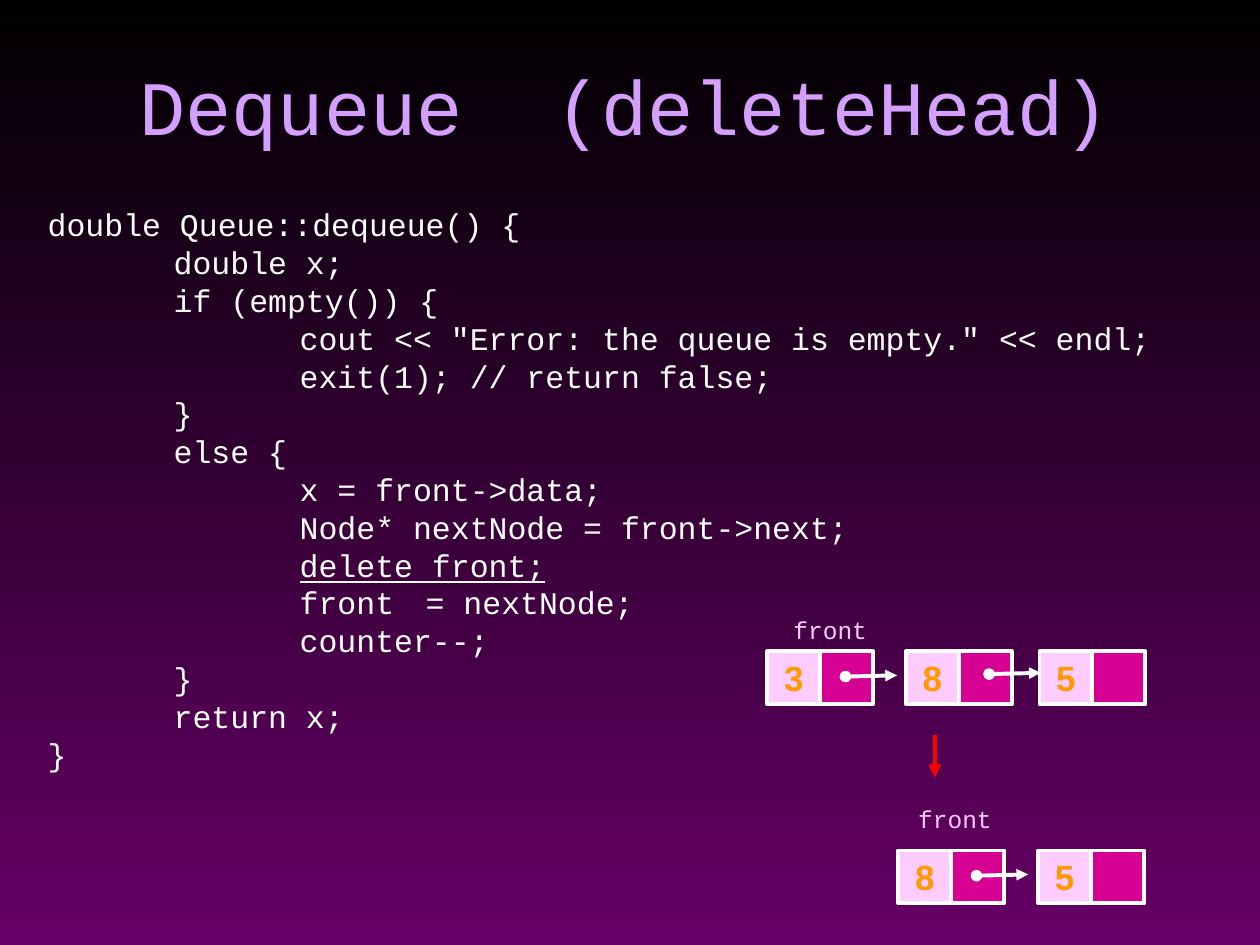
from pptx import Presentation
from pptx.dml.color import RGBColor
from pptx.enum.shapes import MSO_CONNECTOR as Line, MSO_SHAPE as Shape
from pptx.enum.text import MSO_ANCHOR as Anchor, PP_ALIGN as Align
from pptx.oxml.ns import qn
from pptx.util import Inches, Pt
from lxml.etree import SubElement

BLACK = RGBColor(0x00, 0x00, 0x00)
PURPLE = RGBColor(0x66, 0x00, 0x66)
LILAC = RGBColor(0xD4, 0x9F, 0xFF)
WHITE = RGBColor(0xFF, 0xFF, 0xFF)
PINK = RGBColor(0xFF, 0xCC, 0xFF)
MAGENTA = RGBColor(0xD6, 0x00, 0x93)
ORANGE = RGBColor(0xFF, 0x99, 0x00)
RED = RGBColor(0xFF, 0x00, 0x00)

# Content
TITLE = "Dequeue  (deleteHead)"
CODE = [
    "double Queue::dequeue() {",
    "\tdouble x;",
    "\tif (empty()) {",
    '\t\tcout << "Error: the queue is empty." << endl;',
    "\t\texit(1); // return false;",
    "\t}",
    "\telse {",
    "\t\tx = front->data;",
    "\t\tNode* nextNode = front->next;",
    "\t\tdelete front;",
    "\t\tfront\t= nextNode;",
    "\t\tcounter--;",
    "\t}",
    "\treturn x;",
    "}",
]
UNDERLINED = "delete front;"
# Each queue: label place, top of the cells, nodes (value, left),
# and starts of the links between nodes
QUEUES = [
    {"label": (6.01, 4.83), "top": 5.17,
     "nodes": [("3", 6.09), ("8", 7.19), ("5", 8.25)],
     "links": [(6.71, 5.37), (7.85, 5.35)]},
    {"label": (7.0, 6.33), "top": 6.75,
     "nodes": [("8", 7.13), ("5", 8.24)],
     "links": [(7.75, 6.95)]},
]
CELL = 0.42
LINK_WIDTH, LINK_RISE = 0.41, 0.01
TAB_COUNT = 8

# Text formats
TITLE_FONT = {"name": "Courier New", "size": Pt(44), "color": LILAC}
CODE_FONT = {"name": "Courier New", "size": Pt(18), "color": WHITE}
LABEL_FONT = {"name": "Courier New", "size": Pt(14), "color": PINK}
VALUE_FONT = {"name": "Arial", "size": Pt(20), "color": ORANGE, "bold": True}


def set_font(font, style):
    for key, value in style.items():
        if key == "color":
            font.color.rgb = value
        else:
            setattr(font, key, value)


def add_tabs(para):
    tabs = SubElement(para._p.get_or_add_pPr(), qn("a:tabLst"))
    for inch in range(TAB_COUNT):
        SubElement(tabs, qn("a:tab"), pos=str(Inches(inch)), algn="l")


def write(shape, lines, style, align=Align.CENTER, anchor=Anchor.TOP, wrap=True):
    frame = shape.text_frame
    frame.word_wrap, frame.vertical_anchor = wrap, anchor
    for index, line in enumerate(lines):
        para = frame.add_paragraph() if index else frame.paragraphs[0]
        para.alignment = align
        if "\t" in line:
            add_tabs(para)
        before, mark, after = line.partition(UNDERLINED)
        for text in filter(None, (before, mark, after)):
            span = para.add_run()
            span.text = text
            set_font(span.font, style)
            if text == UNDERLINED:
                span.font.underline = True


def add_text(shapes, place, lines, style, **layout):
    box = shapes.add_textbox(*map(Inches, place))
    write(box, lines, style, **layout)


def add_cell(shapes, left, top, color, value=None):
    cell = shapes.add_shape(Shape.RECTANGLE, *map(Inches, (left, top, CELL, CELL)))
    cell.shadow.inherit = False
    cell.fill.solid()
    cell.fill.fore_color.rgb = color
    cell.line.color.rgb = WHITE
    cell.line.width = Pt(2.25)
    if value:
        write(cell, [value], VALUE_FONT, anchor=Anchor.MIDDLE, wrap=False)


def add_arrow(shapes, start, end, color, width, head=None):
    arrow = shapes.add_connector(Line.STRAIGHT, *map(Inches, (*start, *end)))
    arrow.line.color.rgb = color
    arrow.line.width = Pt(width)
    outline = arrow.line._get_or_add_ln()
    if head:
        SubElement(outline, qn("a:headEnd"), type=head)
    SubElement(outline, qn("a:tailEnd"), type="triangle")
    SubElement(arrow._element.spPr, qn("a:effectLst"))


def add_queue(shapes, queue):
    top = queue["top"]
    add_text(shapes, (*queue["label"], 1.16, 0.34), ["front"], LABEL_FONT)
    for _, left in queue["nodes"]:
        add_cell(shapes, left + CELL, top, MAGENTA)
    for x, y in queue["links"]:
        add_arrow(shapes, (x, y), (x + LINK_WIDTH, y - LINK_RISE), WHITE, 2.25, "oval")
    for value, left in queue["nodes"]:
        add_cell(shapes, left, top, PINK, value)


def main():
    deck = Presentation()
    deck.slide_width, deck.slide_height = Inches(10), Inches(7.5)
    page = deck.slides.add_slide(deck.slide_layouts[6])

    # Background, dark at the top
    fill = page.background.fill
    fill.gradient()
    fill.gradient_angle = 270
    for stop, color in zip(fill.gradient_stops, (BLACK, PURPLE)):
        stop.color.rgb = color

    # Title and code
    add_text(page.shapes, (0.67, 0, 8.58, 1.25), [TITLE], TITLE_FONT,
             anchor=Anchor.BOTTOM)
    add_text(page.shapes, (0.28, 1.58, 8.95, 4.6), CODE, CODE_FONT,
             align=Align.LEFT, anchor=Anchor.MIDDLE, wrap=False)

    # Queue before and after, with the step between them
    for queue in QUEUES:
        add_queue(page.shapes, queue)
    add_arrow(page.shapes, (7.42, 5.83), (7.42, 6.17), RED, 2.5)

    deck.save("out.pptx")


if __name__ == "__main__":
    main()
